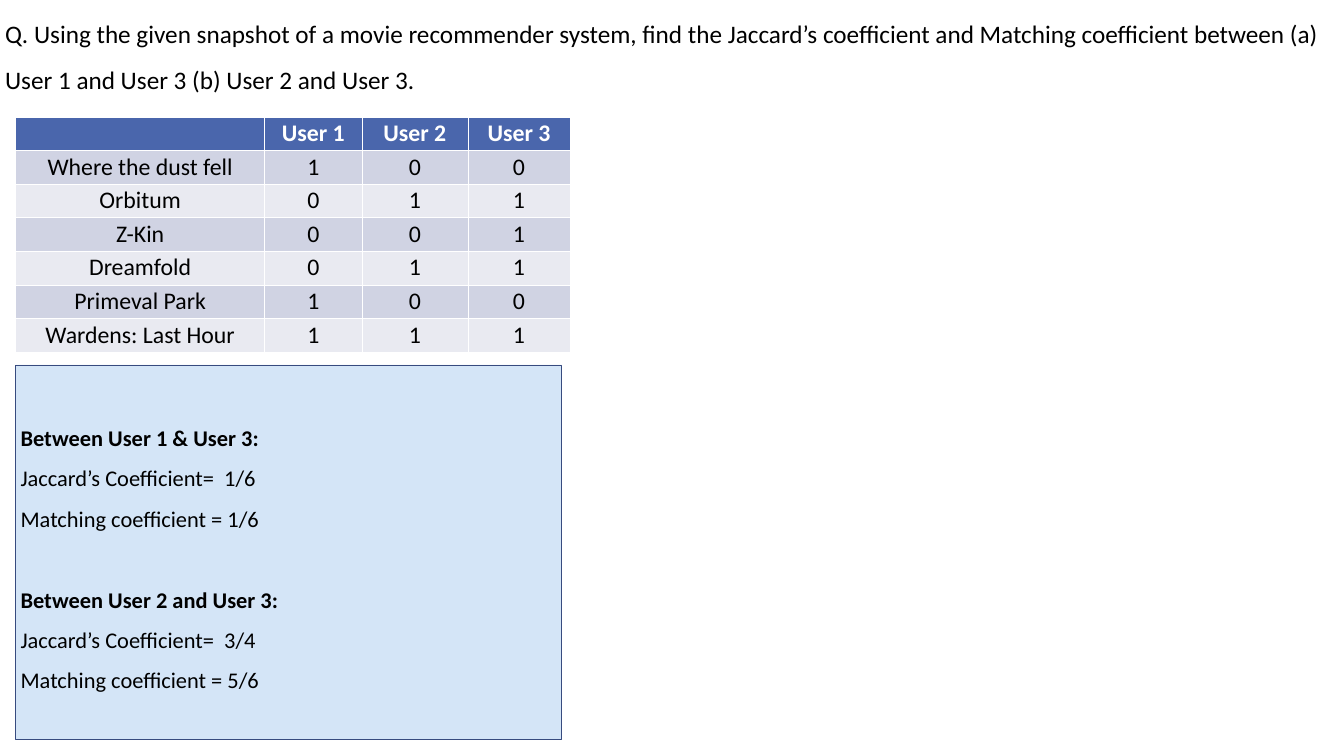
from dataclasses import dataclass

from pptx import Presentation
from pptx.dml.color import RGBColor
from pptx.enum.shapes import MSO_SHAPE as Shape
from pptx.enum.text import MSO_ANCHOR as Anchor, MSO_AUTO_SIZE as AutoSize, PP_ALIGN as Align
from pptx.util import Pt

QUESTION = (
    "Q. Using the given snapshot of a movie recommender system, find the Jaccard’s coefficient "
    "and Matching coefficient between (a) User 1 and User 3 (b) User 2 and User 3."
)
RATINGS = [
    ("", "User 1", "User 2", "User 3"),
    ("Where the dust fell", 1, 0, 0),
    ("Orbitum", 0, 1, 1),
    ("Z-Kin", 0, 0, 1),
    ("Dreamfold", 0, 1, 1),
    ("Primeval Park", 1, 0, 0),
    ("Wardens: Last Hour", 1, 1, 1),
]
ANSWERS = [
    ("Between User 1 & User 3:", "1/6", "1/6"),
    ("Between User 2 and User 3:", "3/4", "5/6"),
]

EMU_PER_PX = 9144
PAGE_SIZE = (2666, 1500)
QUESTION_AREA = (0, 2, 2666, 192)
TABLE_AREA = (31, 232, 1100, 467)
COLUMN_WIDTHS = (494, 193, 210, 203)
CELL_MARGIN = 4
ANSWER_AREA = (31, 724, 1083, 742)


@dataclass(frozen=True)
class Theme:
    font: str = "Calibri"
    ink: str = "000000"
    header_ink: str = "FFFFFF"
    header: str = "4A66AC"
    bands: tuple = ("D0D3E3", "E9EAF1")
    panel: str = "D4E5F7"
    panel_line: str = "374B7F"
    question_size: int = 36
    table_size: int = 34
    answer_size: int = 32
    line_spacing: float = 1.5
    group_gap: int = 58


THEME = Theme()


def px(*lengths):
    return [length * EMU_PER_PX for length in lengths]


def paint(fill, color):
    fill.solid()
    fill.fore_color.rgb = RGBColor.from_string(color)


def style(para, size, color=THEME.ink, bold=False, align=Align.LEFT):
    para.alignment = align
    para.font.name = THEME.font
    para.font.size = Pt(size)
    para.font.bold = bold
    para.font.color.rgb = RGBColor.from_string(color)


def add_question(page):
    title = page.shapes.title
    title.left, title.top, title.width, title.height = px(*QUESTION_AREA)
    frame = title.text_frame
    frame.text = QUESTION
    frame.word_wrap = True
    frame.auto_size = AutoSize.NONE
    frame.vertical_anchor = Anchor.TOP
    para = frame.paragraphs[0]
    style(para, THEME.question_size)
    para.line_spacing = THEME.line_spacing


def add_ratings(page):
    table = page.shapes.add_table(len(RATINGS), len(COLUMN_WIDTHS), *px(*TABLE_AREA)).table
    for column, width in zip(table.columns, px(*COLUMN_WIDTHS)):
        column.width = width
    for index, values in enumerate(RATINGS):
        is_header = index == 0
        fill = THEME.header if is_header else THEME.bands[(index - 1) % 2]
        color = THEME.header_ink if is_header else THEME.ink
        for cell, value in zip(table.rows[index].cells, values):
            paint(cell.fill, fill)
            cell.margin_top, cell.margin_bottom = px(CELL_MARGIN, CELL_MARGIN)
            cell.text = str(value)
            style(cell.text_frame.paragraphs[0], THEME.table_size, color, is_header, Align.CENTER)


def add_answers(page):
    box = page.shapes.add_shape(Shape.RECTANGLE, *px(*ANSWER_AREA))
    box.shadow.inherit = False
    paint(box.fill, THEME.panel)
    paint(box.line.fill, THEME.panel_line)
    box.line.width = Pt(1)
    frame = box.text_frame
    frame.word_wrap = True
    frame.vertical_anchor = Anchor.MIDDLE
    lines = []
    for heading, jaccard, matching in ANSWERS:
        lines += [
            (heading, True),
            (f"Jaccard’s Coefficient=  {jaccard}", False),
            (f"Matching coefficient = {matching}", False),
        ]
    frame.text = "\n".join(text for text, _ in lines)
    for index, (para, (_, is_heading)) in enumerate(zip(frame.paragraphs, lines)):
        style(para, THEME.answer_size, bold=is_heading)
        para.line_spacing = THEME.line_spacing
        if is_heading and index:
            para.space_before = Pt(THEME.group_gap)


def main():
    deck = Presentation()
    deck.slide_width, deck.slide_height = px(*PAGE_SIZE)
    page = deck.slides.add_slide(deck.slide_layouts[5])
    add_question(page)
    add_ratings(page)
    add_answers(page)
    deck.save("out.pptx")


if __name__ == "__main__":
    main()
